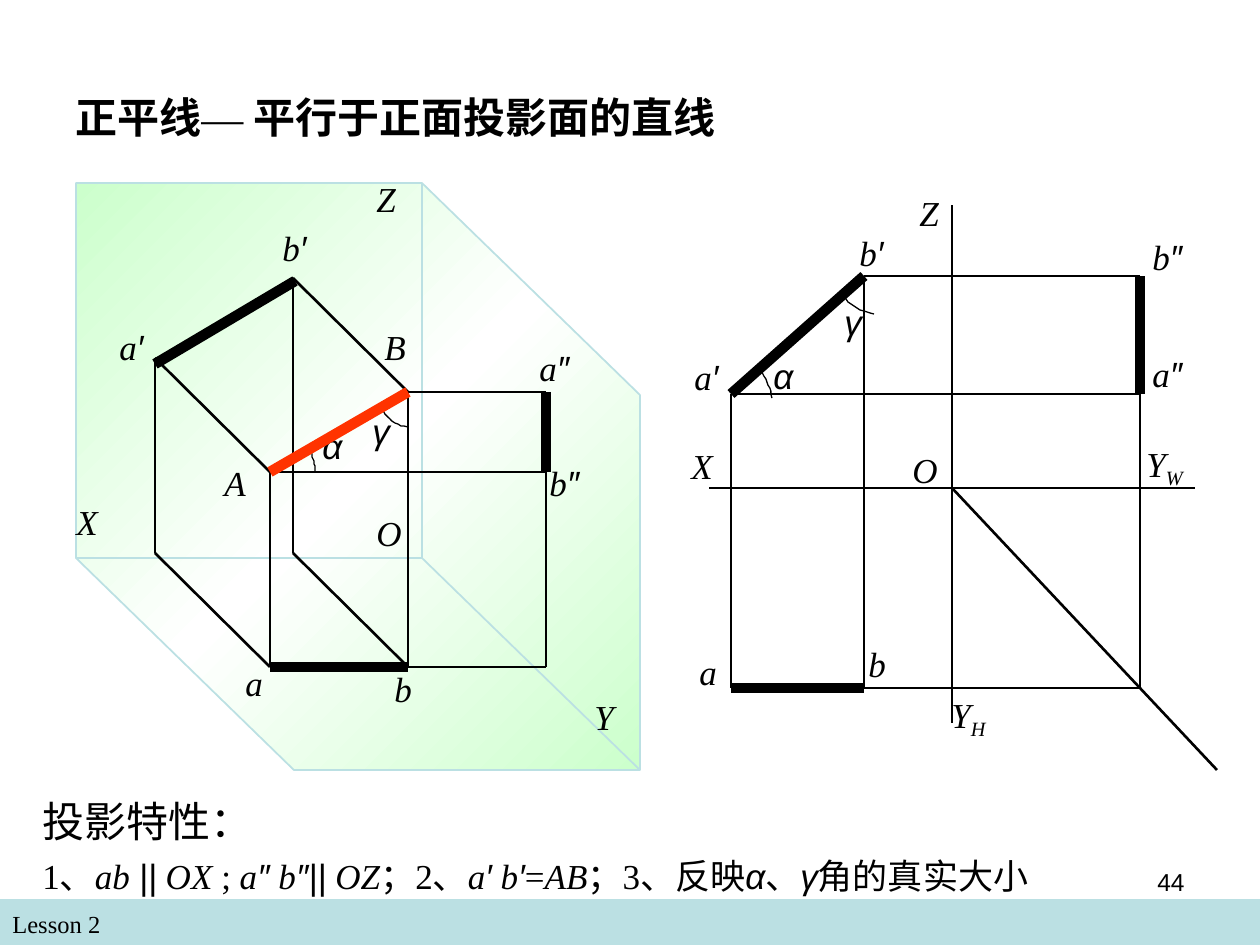
from copy import deepcopy

from lxml.etree import SubElement
from pptx import Presentation
from pptx.dml.color import RGBColor
from pptx.enum.shapes import MSO_CONNECTOR, MSO_SHAPE
from pptx.enum.text import MSO_ANCHOR, PP_ALIGN
from pptx.oxml.ns import qn
from pptx.util import Pt

PX = 914400 / 126
COLORS = {"black": "000000", "red": "FF3300", "edge": "BBE0E3",
          "mint": "CCFFCC", "white": "FFFFFF"}
SERIF, SANS, CJK = "Times New Roman", "Arial", "Noto Sans CJK SC"
THIN, THICK, ARC = 1.5, 6, 0.75

PLANES = [(76, 183), (76, 558), (294, 770), (640, 770), (640, 395), (422, 183)]
AXIS_EDGES = [(76, 558, 422, 558), (640, 770, 422, 558), (422, 183, 422, 558)]

SPACE_POINTS = {
    "a1": (155, 358), "b1": (293, 278), "A": (270, 472), "B": (408, 392),
    "a": (270, 667), "b": (408, 667), "foot_a": (155, 553), "foot_b": (293, 553),
    "top": (546, 392), "low": (546, 472), "corner": (546, 667),
    "a1_end": (155, 364), "b1_end": (295, 281),
}
SPACE_THIN = ["a1 foot_a", "foot_a a", "b foot_b", "A a", "B b1", "A a1", "b1 foot_b",
              "B b", "low corner", "B top", "A low", "b corner"]
SPACE_THICK = ["b1_end a1_end", "a b", "top low"]

VIEW_POINTS = {
    "z_low": (952, 723), "z_top": (952, 205), "O": (952, 488), "diag": (1217, 770),
    "x": (709, 488), "y": (1195, 488), "a1": (731, 394), "b1": (864, 276),
    "a": (731, 688), "b": (864, 688), "a2": (1140, 394), "b2": (1140, 276),
    "corner": (1140, 688),
}
VIEW_THIN = ["z_low z_top", "O diag", "a a1", "b b1", "y x", "b1 b2", "b corner",
             "corner a2", "a1 a2"]
VIEW_THICK = ["a1 b1", "a b", "a2 b2"]

# Angle marks: start, control point, end
ANGLE_MARKS = [
    [(308, 449), (315, 457), (315, 472)],
    [(381, 407), (390, 425), (408, 427)],
    [(759, 369), (769, 380), (772, 398)],
    [(843, 296), (856, 311), (874, 314)],
]

# Labels: text, left, top, width, optional subscript
LABELS = [
    ("X", 64, 494, 58), ("Z", 364, 171, 127), ("Y", 582, 689, 81), ("O", 364, 505, 34),
    ("a", 233, 655, 92), ("a′", 107, 319, 92), ("b′", 270, 220, 92),
    ("a″", 527, 340, 92), ("b″", 537, 455, 92), ("b", 382, 661, 92),
    ("α", 310, 418, 58), ("γ", 360, 403, 44),
    ("X", 679, 438, 49), ("a′", 682, 349, 88), ("b′", 847, 225, 88),
    ("a″", 1140, 346, 88), ("b″", 1140, 229, 88), ("b", 856, 636, 88),
    ("a", 687, 644, 88), ("O", 900, 442, 71), ("Z", 907, 185, 122),
    ("Y", 939, 687, 142, "H"), ("Y", 1134, 436, 102, "W"),
    ("A", 212, 455, 92), ("B", 372, 319, 92),
    ("α", 761, 348, 55), ("γ", 832, 294, 44),
]

# Runs: text, font, italic
PROPERTIES = [
    ("1、", SERIF, False), ("ab ", SERIF, True), ("||", SANS, True), (" OX ", SERIF, True),
    (";", SERIF, False), (" a", SERIF, True), ("″", SANS, True), (" b", SERIF, True),
    ("″||", SANS, True), (" OZ", SERIF, True), ("；2、", SERIF, False),
    ("a", SERIF, True), ("′", SANS, True), (" b", SERIF, True), ("′", SANS, True),
    ("=", SERIF, False), ("AB", SERIF, True), ("；3、反映", SERIF, False),
    ("α", SANS, True), ("、", SERIF, False), ("γ", SANS, True),
    ("角的真实大小", SERIF, False),
]


def px(value):
    return round(value * PX)


def rgb(name):
    return RGBColor.from_string(COLORS[name])


def set_line(shape, color, width):
    shape.line.color.rgb = rgb(color)
    shape.line.width = Pt(width)


def add_line(page, start, end, width, color="black"):
    line = page.shapes.add_connector(MSO_CONNECTOR.STRAIGHT, *map(px, (*start, *end)))
    set_line(line, color, width)
    SubElement(line._element.spPr, qn("a:effectLst"))


def add_outline(page, points, close, width, color):
    builder = page.shapes.build_freeform(*points[0], scale=PX)
    builder.add_line_segments(points[1:], close=close)
    outline = builder.convert_to_shape()
    outline.shadow.inherit = False
    set_line(outline, color, width)
    return outline


def add_arc(page, start, control, end, steps=10):
    """Draw a quadratic curve as short segments."""
    points = []
    for step in range(steps + 1):
        t = step / steps
        points.append(tuple((1 - t) ** 2 * s + 2 * t * (1 - t) * c + t * t * e
                            for s, c, e in zip(start, control, end)))
    add_outline(page, points, False, ARC, "black").fill.background()


def add_box(page, left, top, width, height):
    box = page.shapes.add_textbox(*map(px, (left, top, width, height)))
    box.text_frame.word_wrap = True
    return box.text_frame


def add_span(para, text, font=SERIF, east_asian=CJK, **formats):
    span = para.add_run()
    span.text = text
    span.font.color.rgb = rgb("black")
    for name, value in {"name": font, "size": Pt(20), **formats}.items():
        setattr(span.font, name, value)
    SubElement(span._r.rPr, qn("a:ea"), typeface=east_asian)
    return span


def add_label(page, text, left, top, width, subscript=""):
    para = add_box(page, left, top, width, 60 if subscript else 55).paragraphs[0]
    add_span(para, text[0], SANS if text in "αγ" else SERIF, italic=True)
    if text[1:]:
        add_span(para, text[1:], SANS, SANS, italic=True)
    if subscript:
        span = add_span(para, subscript, italic=True)
        span._r.rPr.set("baseline", "-25000")


def add_planes(page):
    planes = add_outline(page, PLANES, True, 1, "edge")
    fill = planes.fill
    fill.gradient()
    fill.gradient_angle = 315
    stops = fill._fill._gradFill.find(qn("a:gsLst"))
    stops.append(deepcopy(stops[0]))
    for stop, color, position in zip(fill.gradient_stops, ("mint", "white", "mint"),
                                     (0, 0.5, 1)):
        stop.color.rgb = rgb(color)
        stop.position = position
    for x1, y1, x2, y2 in AXIS_EDGES:
        add_line(page, (x1, y1), (x2, y2), 1, "edge")


def add_segments(page, points, pairs, width):
    for pair in pairs:
        start, end = pair.split()
        add_line(page, points[start], points[end], width)


def main():
    deck = Presentation()
    deck.slide_width, deck.slide_height = px(1260), px(945)
    page = deck.slides.add_slide(deck.slide_layouts[6])

    bar = page.shapes.add_shape(MSO_SHAPE.RECTANGLE, *map(px, (0, 899, 1260, 46)))
    bar.shadow.inherit = False
    bar.fill.solid()
    bar.fill.fore_color.rgb = rgb("edge")
    bar.line.fill.background()
    add_span(add_box(page, 0, 903, 609, 43).paragraphs[0], "Lesson 2", size=Pt(14))

    title = add_box(page, 63, 38, 1134, 157)
    title.vertical_anchor = MSO_ANCHOR.MIDDLE
    heading = title.paragraphs[0]
    add_span(heading, "正平线", CJK, size=Pt(24), bold=True)
    add_span(heading, "— ", SERIF, SERIF, size=Pt(24))
    add_span(heading, "平行于正面投影面的直线", CJK, size=Pt(24), bold=True)

    add_planes(page)
    for points, thin, thick in ((SPACE_POINTS, SPACE_THIN, SPACE_THICK),
                                (VIEW_POINTS, VIEW_THIN, VIEW_THICK)):
        add_segments(page, points, thin, THIN)
        add_segments(page, points, thick, THICK)
    for mark in ANGLE_MARKS:
        add_arc(page, *mark)
    for label in LABELS:
        add_label(page, *label)
    add_line(page, SPACE_POINTS["B"], SPACE_POINTS["A"], THICK, "red")

    notes = add_box(page, 30, 789, 1260, 115)
    add_span(notes.paragraphs[0], "投影特性：", size=Pt(24))
    para = notes.add_paragraph()
    para.space_before = Pt(5)
    for text, font, italic in PROPERTIES:
        add_span(para, text, font, italic=italic)

    number = add_box(page, 903, 861, 294, 66).paragraphs[0]
    number.alignment = PP_ALIGN.RIGHT
    add_span(number, "44", SANS, size=Pt(14))
    deck.save("out.pptx")


if __name__ == "__main__":
    main()
